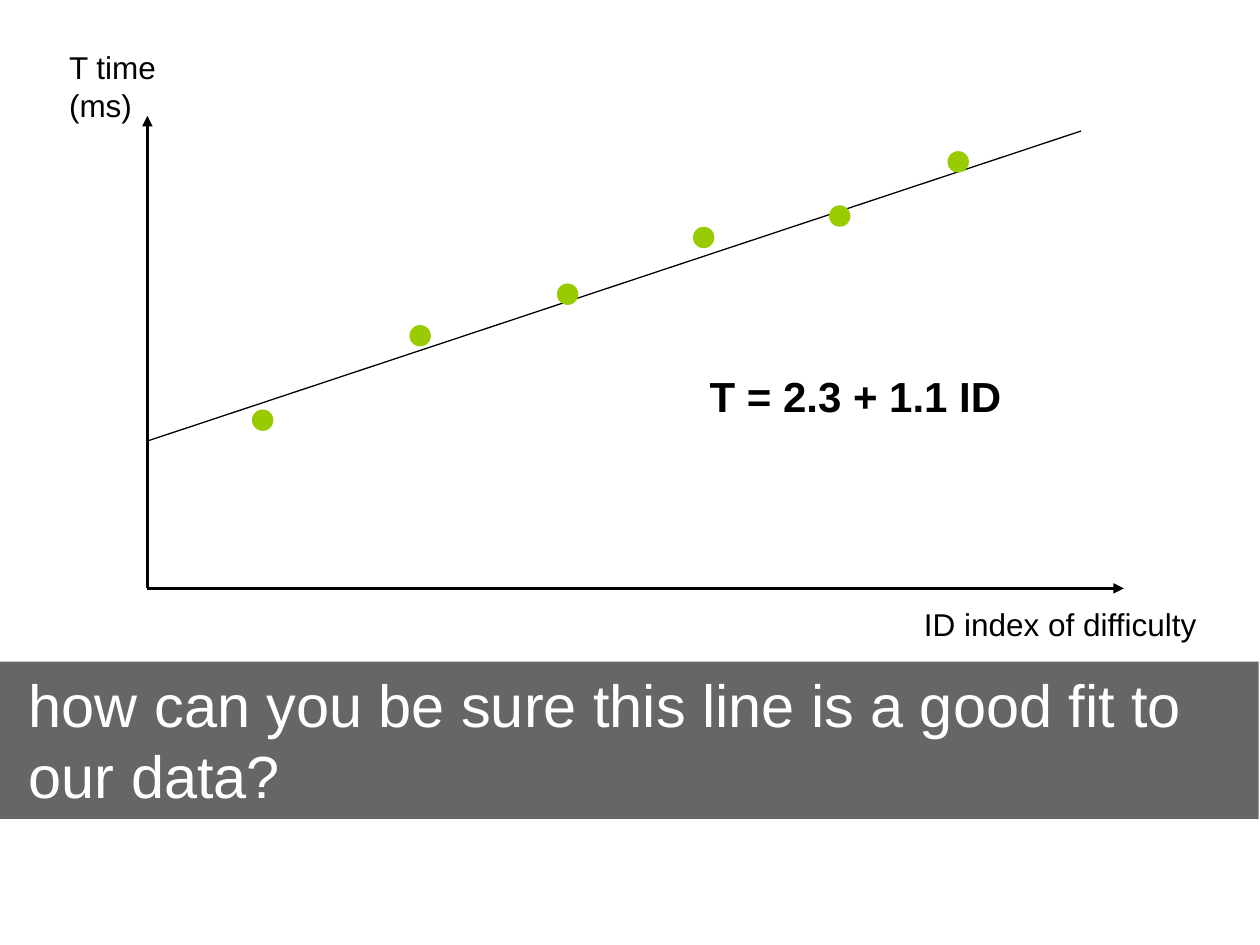
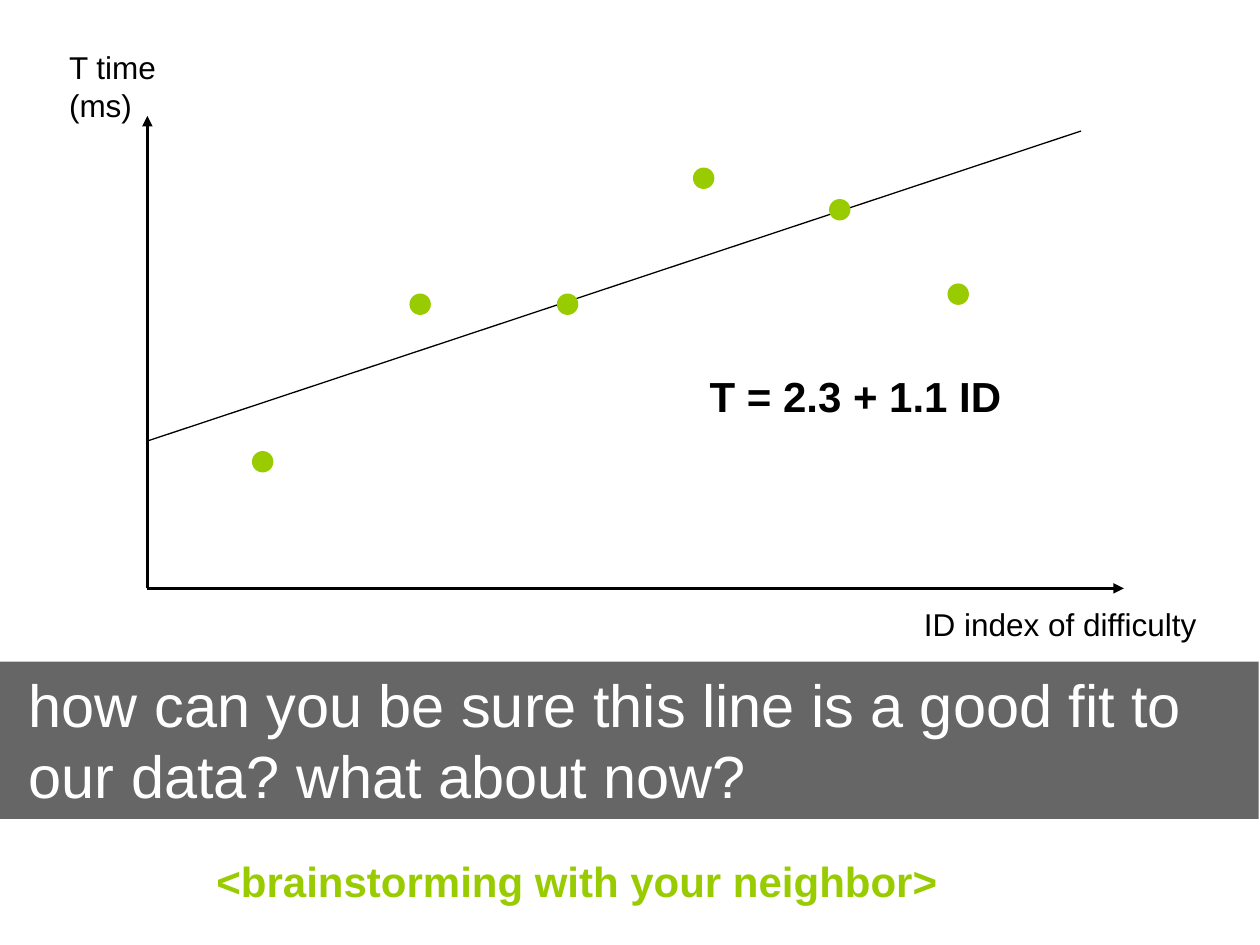
import pptx
import pptx.dml.color
import pptx.enum.shapes
import pptx.enum.text
import pptx.oxml.ns
import pptx.util
from dataclasses import dataclass
from lxml import etree

Inches = pptx.util.Inches
Align = pptx.enum.text.PP_ALIGN
Shape = pptx.enum.shapes.MSO_SHAPE


@dataclass(frozen=True)
class Theme:
    font: str = "Arial"
    ink: str = "000000"
    accent: str = "99CC00"
    band_text: str = "FFFFFF"
    band_opacity: int = 60
    label_size: int = 18
    emphasis_size: int = 24
    question_size: int = 34
    axis_width: float = 2
    fit_width: float = 0.75
    dot_size: float = 0.17


THEME = Theme()
ORIGIN = (1.17, 4.67)
DOT_LEFTS = (2, 3.25, 4.42, 5.5, 6.58, 7.52)
CLOSE_DOT_TOPS = (3.25, 2.58, 2.25, 1.8, 1.63, 1.2)
SCATTERED_DOT_TOPS = (3.58, 2.33, 2.33, 1.33, 1.58, 2.25)
QUESTION = "how can you be sure this line is a good fit to our data?"


def color(value):
    return pptx.dml.color.RGBColor.from_string(value)


def add_child(parent, tag, **attributes):
    return etree.SubElement(parent, pptx.oxml.ns.qn(tag), attributes)


def write_text(frame, text, size=THEME.label_size, ink=THEME.ink, bold=False,
               align=Align.LEFT, line_spacing=None, wrap=True):
    frame.word_wrap = wrap
    frame.vertical_anchor = pptx.enum.text.MSO_ANCHOR.TOP
    for index, line in enumerate(text.split("\n")):
        para = frame.add_paragraph() if index else frame.paragraphs[0]
        para.alignment = align
        para.line_spacing = line_spacing
        span = para.add_run()
        span.text = line
        span.font.name = THEME.font
        span.font.size = pptx.util.Pt(size)
        span.font.bold = bold
        span.font.color.rgb = color(ink)


def add_label(page, text, left, top, width, height, **text_format):
    box = page.shapes.add_textbox(Inches(left), Inches(top), Inches(width), Inches(height))
    write_text(box.text_frame, text, **text_format)


def add_filled_shape(page, preset, left, top, width, height, fill):
    shape = page.shapes.add_shape(preset, Inches(left), Inches(top), Inches(width), Inches(height))
    shape.shadow.inherit = False
    shape.fill.solid()
    shape.fill.fore_color.rgb = color(fill)
    shape.line.fill.background()
    return shape


def add_line(page, start, end, width, arrow=False):
    line = page.shapes.add_connector(
        pptx.enum.shapes.MSO_CONNECTOR.STRAIGHT, *map(Inches, start + end))
    line.line.color.rgb = color(THEME.ink)
    line.line.width = pptx.util.Pt(width)
    if arrow:
        add_child(line.line._get_or_add_ln(), "a:tailEnd", type="triangle")
    add_child(line._element.spPr, "a:effectLst")


def add_plot(page, dot_tops):
    for axis_end in ((ORIGIN[0], 0.92), (8.92, ORIGIN[1])):
        add_line(page, ORIGIN, axis_end, THEME.axis_width, arrow=True)
    add_label(page, "T time\n(ms)", 0.45, 0.33, 0.97, 0.71, wrap=False)
    add_label(page, "ID index of difficulty", 6.83, 4.75, 3.17, 0.4, align=Align.CENTER)
    add_line(page, (ORIGIN[0], 3.5), (8.58, 1.04), THEME.fit_width)
    add_label(page, "T = 2.3 + 1.1 ID", 5.52, 2.94, 2.54, 0.46, size=THEME.emphasis_size,
              bold=True, align=Align.CENTER, line_spacing=0.9, wrap=False)
    for left, top in zip(DOT_LEFTS, dot_tops):
        add_filled_shape(page, Shape.OVAL, left, top, THEME.dot_size, THEME.dot_size, THEME.accent)


def add_question_band(page, question):
    band = add_filled_shape(page, Shape.RECTANGLE, -0.01, 5.25, 10, 1.25, THEME.ink)
    fill_color = band._element.spPr.find(".//" + pptx.oxml.ns.qn("a:srgbClr"))
    add_child(fill_color, "a:alpha", val=str(THEME.band_opacity * 1000))
    band.text_frame.margin_left = Inches(0.24)
    write_text(band.text_frame, question, size=THEME.question_size, ink=THEME.band_text)


def add_fit_slide(deck, dot_tops, question):
    page = deck.slides.add_slide(deck.slide_layouts[6])
    add_plot(page, dot_tops)
    add_question_band(page, question)
    return page


def main():
    deck = pptx.Presentation()
    deck.slide_width, deck.slide_height = Inches(10), Inches(7.5)
    add_fit_slide(deck, CLOSE_DOT_TOPS, QUESTION)
    page = add_fit_slide(deck, SCATTERED_DOT_TOPS, QUESTION + " what about now?")
    add_label(page, "<brainstorming with your neighbor>", 1.62, 6.74, 6.07, 0.5,
              size=THEME.emphasis_size, ink=THEME.accent, bold=True, wrap=False)
    deck.save("out.pptx")


if __name__ == "__main__":
    main()
